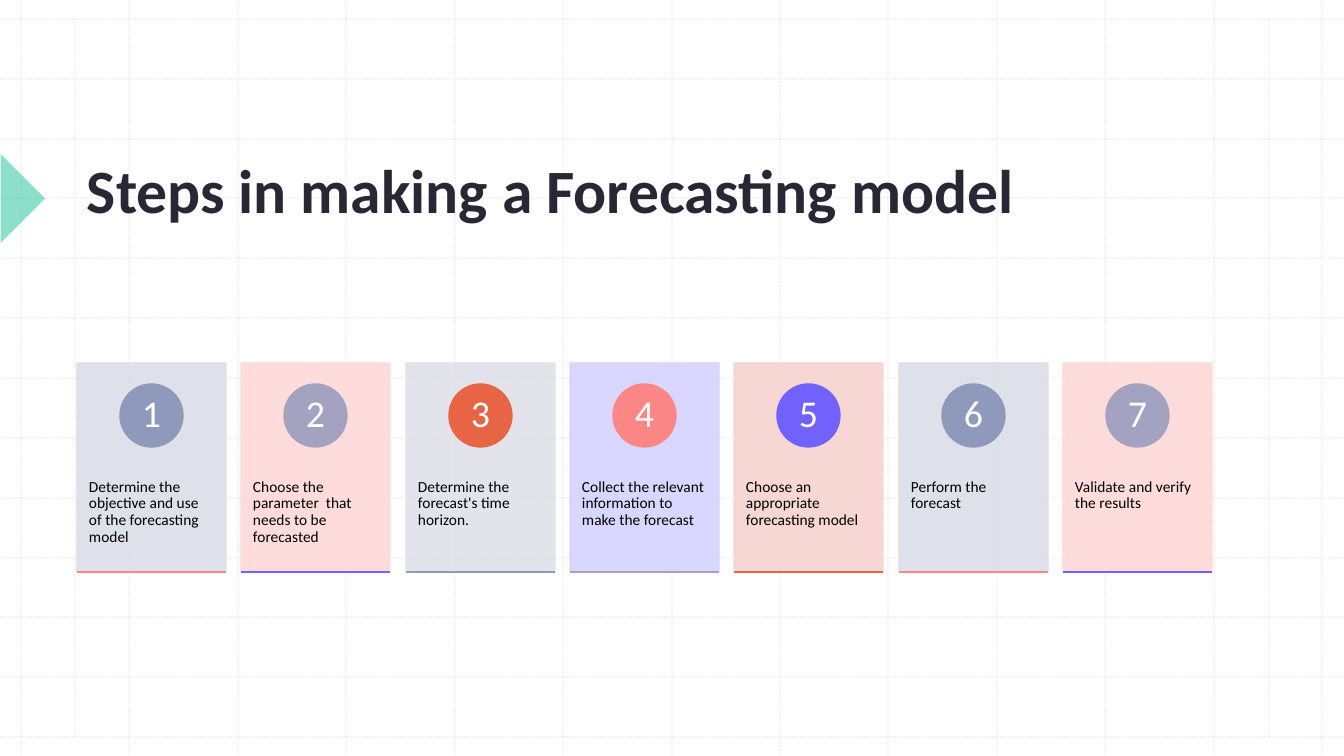
from dataclasses import dataclass

from lxml.etree import SubElement
from pptx import Presentation
from pptx.dml.color import RGBColor
from pptx.enum.dml import MSO_LINE
from pptx.enum.shapes import MSO_CONNECTOR, MSO_SHAPE
from pptx.enum.text import MSO_ANCHOR, PP_ALIGN
from pptx.oxml.ns import qn
from pptx.util import Emu, Pt

WIDTH, HEIGHT = 1344, 756


def px(n):
    return Emu(round(n * 914400 / 100.8))


def spread(first, last, count):
    """Whole positions at equal steps from first to last."""
    return [round(first + (last - first) * i / (count - 1)) for i in range(count)]


@dataclass(frozen=True)
class Theme:
    font: str = "Calibri"
    title: str = "2A2735"
    body: str = "000000"
    number: str = "FFFFFF"
    grid: str = "BCBCBC"
    marker: str = "1EBE9B"
    accents: tuple = ("8F99BB", "A3A3C1", "E76445", "FD8686", "7162FE")
    tints: tuple = ("DBDEE7", "FED9D9", "E0E0E9", "D5D3FF", "F6D3CF")
    title_size: int = 44
    number_size: int = 27
    body_size: int = 11


class SlideBuilder:
    def __init__(self, slide, theme):
        self.s, self.theme = slide, theme

    def paint(self, fill, color, opacity=100):
        fill.solid()
        fill.fore_color.rgb = RGBColor.from_string(color)
        if opacity < 100:
            clr = next(fill._xPr.iter(qn("a:srgbClr")))
            SubElement(clr, qn("a:alpha")).set("val", str(opacity * 1000))

    def text(self, shape, text, size, color, bold=False, align=PP_ALIGN.LEFT,
             anchor=MSO_ANCHOR.TOP, insets=(10, 5, 10, 5), spacing=0.9):
        tf = shape.text_frame
        left, top, right, bottom = map(px, insets)
        frame = {"word_wrap": True, "vertical_anchor": anchor,
                 "margin_left": left, "margin_top": top,
                 "margin_right": right, "margin_bottom": bottom}
        p = tf.paragraphs[0]
        r = p.add_run()
        r.text = text
        font = {"name": self.theme.font, "size": Pt(size), "bold": bold}
        for target, values in ((tf, frame), (r.font, font),
                               (p, {"alignment": align, "line_spacing": spacing})):
            for name, value in values.items():
                setattr(target, name, value)
        r.font.color.rgb = RGBColor.from_string(color)

    def title(self, text, x, y, w, h):
        sp = self.s.shapes.title
        box = {"left": x, "top": y, "width": w, "height": h}
        for name, value in box.items():
            setattr(sp, name, px(value))
        self.text(sp, text, self.theme.title_size, self.theme.title, bold=True,
                  anchor=MSO_ANCHOR.BOTTOM)
        self.s.shapes.element.append(sp.element)  # in front of the grid

    def line(self, x1, y1, x2, y2, color, opacity=100, dash=None):
        ln = self.s.shapes.add_connector(MSO_CONNECTOR.STRAIGHT, *map(px, (x1, y1, x2, y2)))
        self.paint(ln.line.fill, color, opacity)
        ln.line.width = Pt(1)
        if dash is not None:
            ln.line.dash_style = dash
        SubElement(ln.element.spPr, qn("a:effectLst"))

    def shape(self, kind, x, y, w, h, color, opacity=100, outlined=True):
        sp = self.s.shapes.add_shape(kind, *map(px, (x, y, w, h)))
        sp.shadow.inherit = False
        self.paint(sp.fill, color, opacity)
        if outlined:
            self.paint(sp.line.fill, color, opacity)
            sp.line.width = Pt(1)
        else:
            sp.line.fill.background()
        return sp

    def grid(self):
        top, bottom = 19, 737
        ends = [(x, 0, x, HEIGHT) for x in spread(21, 1322, 13)]
        ends += [(0, y, WIDTH, y) for y in spread(top, bottom, 13)]
        ends += [(x, top, x, bottom) for x in (75, 1269)]
        for end in ends:
            self.line(*end, self.theme.grid, opacity=30, dash=MSO_LINE.ROUND_DOT)

    def marker(self):
        sp = self.shape(MSO_SHAPE.RIGHT_TRIANGLE, -31, 167, 63, 63,
                        self.theme.marker, opacity=50, outlined=False)
        sp.rotation = 225

    def step(self, index, text, x):
        t = self.theme
        y, w, h, disc = 363, 149, 209, 63
        count = len(t.accents)
        card = self.shape(MSO_SHAPE.RECTANGLE, x, y, w, h, t.tints[index % count], opacity=90)
        self.text(card, text, t.body_size, t.body, insets=(12, 116, 12, 12))
        circle = self.shape(MSO_SHAPE.OVAL, x + (w - disc) / 2, y + 21, disc, disc,
                            t.accents[index % count])
        self.text(circle, str(index + 1), t.number_size, t.number, align=PP_ALIGN.CENTER,
                  anchor=MSO_ANCHOR.MIDDLE, insets=(5, 1, 5, 1))
        self.line(x, y + h, x + w, y + h, t.accents[(index + 3) % count])


STEPS = (
    "Determine the objective and use of the forecasting model",
    "Choose the parameter  that needs to be forecasted",
    "Determine the forecast's time horizon.",
    "Collect the relevant information to make the forecast",
    "Choose an appropriate forecasting model",
    "Perform the forecast",
    "Validate and verify the results",
)

prs = Presentation()
prs.slide_width, prs.slide_height = px(WIDTH), px(HEIGHT)
title_only = prs.slide_layouts.get_by_name("Title Only")
builder = SlideBuilder(prs.slides.add_slide(title_only), Theme())
builder.grid()
builder.marker()
builder.title("Steps in making a Forecasting model", 77, 80, 1138, 152)
for i, (step_text, left) in enumerate(zip(STEPS, spread(77, 1063, len(STEPS)))):
    builder.step(i, step_text, left)
prs.save("out.pptx")
